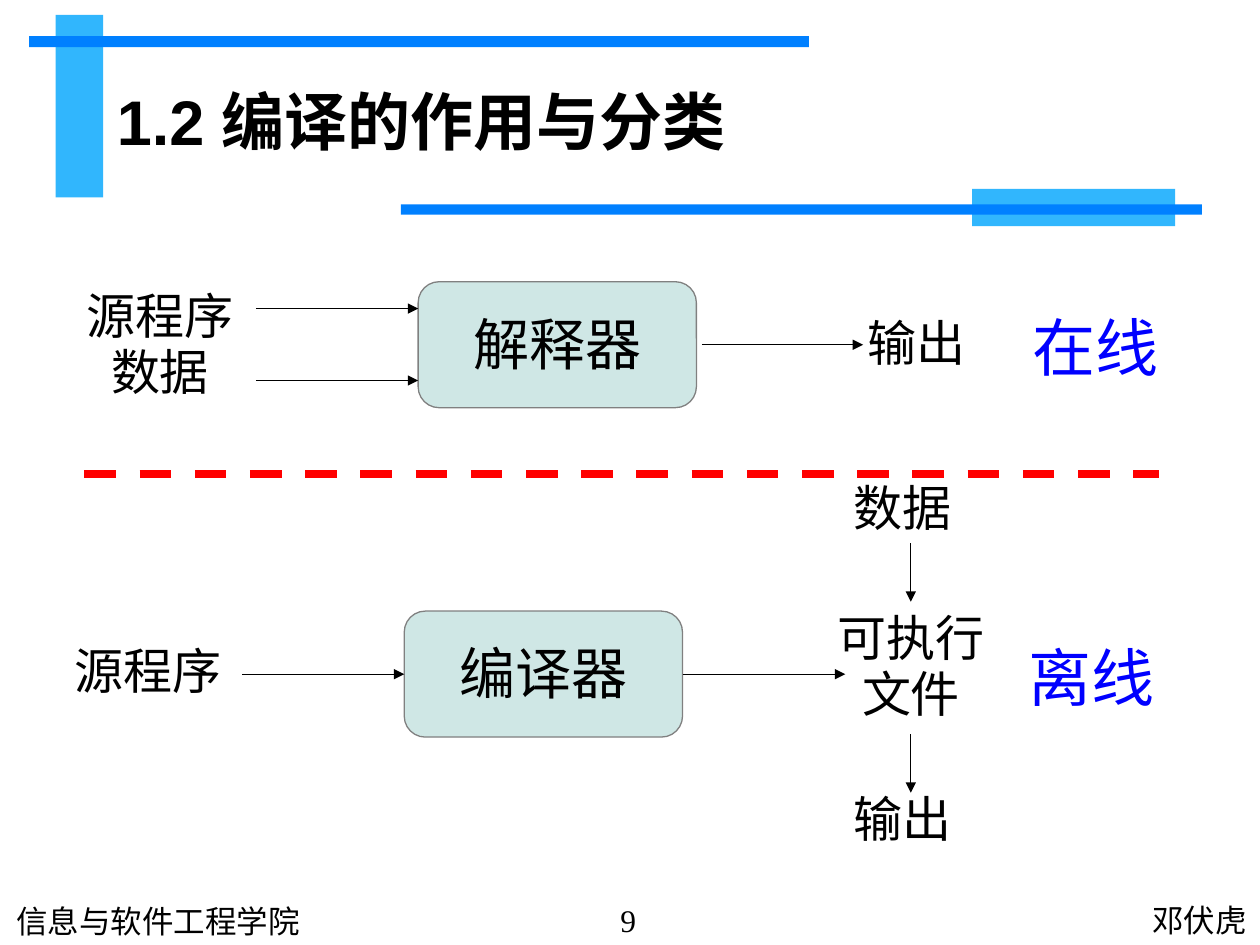
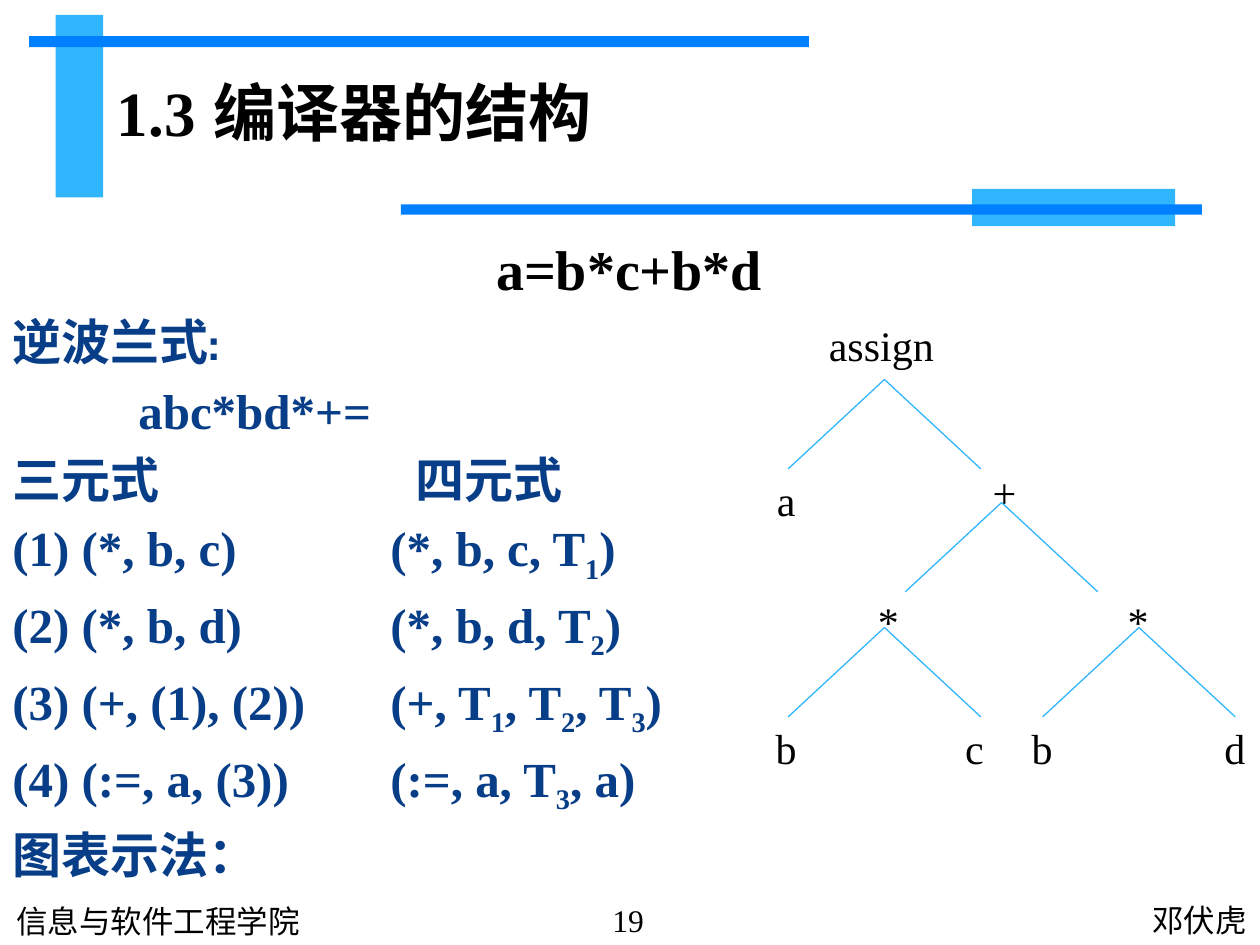
from lxml.etree import SubElement
from pptx import Presentation
from pptx.dml.color import RGBColor
from pptx.enum.dml import MSO_LINE
from pptx.enum.shapes import MSO_CONNECTOR, MSO_SHAPE
from pptx.enum.text import MSO_ANCHOR as ANCHOR, MSO_AUTO_SIZE as AUTO, PP_ALIGN as ALIGN
from pptx.oxml.ns import qn
from pptx.util import Cm, Pt

SKY, BLUE, NAVY, BLACK = "31B6FD", "0080FF", "073E87", "000000"
CHINESE, SERIF, SANS = "Noto Sans CJK SC", "Times New Roman", "Arial"
FOOTER = {"name": "Cabin", "size": Pt(18), "color": BLACK}
PAGE_NUMBER = FOOTER | {"name": SERIF}
TITLE = {"name": SANS, "size": Pt(36), "bold": True, "color": BLACK}
TITLE_NUMBER = TITLE | {"name": SERIF}
LABEL = {"name": CHINESE, "size": Pt(28), "color": BLACK}
MODE = LABEL | {"size": Pt(36), "color": "0000FF"}
STAGE = LABEL | {"size": Pt(32)}
NODE = {"name": SERIF, "size": Pt(24), "color": BLACK}
FORMULA = {"name": SERIF, "size": Pt(32), "bold": True, "color": BLACK}
CODE = {"name": SERIF, "size": Pt(28), "bold": True, "color": NAVY}
HEADING = CODE | {"name": "Cabin"}
SNUG = {"margin_left": Cm(0.23), "margin_right": Cm(0.23), "margin_top": Cm(0.16),
        "margin_bottom": Cm(0.1), "word_wrap": False}
TIGHT = {"line_spacing": 0.95}
CENTERED = {"alignment": ALIGN.CENTER}


def color(value):
    return RGBColor.from_string(value)


def set_values(target, values):
    for name, value in values.items():
        setattr(target, name, value)


def place(shape, left, top, width, height):
    set_values(shape, {"left": Cm(left), "top": Cm(top),
                       "width": Cm(width), "height": Cm(height)})


def add_span(para, text, look, baseline=None):
    span = para.add_run()
    span.text = text
    set_values(span.font, {key: value for key, value in look.items() if key != "color"})
    span.font.color.rgb = color(look["color"])
    properties = span._r.get_or_add_rPr()
    SubElement(properties, qn("a:ea"), typeface=CHINESE)
    if baseline:
        properties.set("baseline", baseline)


def write(frame, text, look, layout, frame_values):
    set_values(frame, frame_values)
    for index, line in enumerate(text.split("\n")):
        para = frame.add_paragraph() if index else frame.paragraphs[0]
        set_values(para, layout)
        add_span(para, line, look)


def add_text(page, text, area, look, layout, frame_values):
    box = page.shapes.add_textbox(*map(Cm, area))
    write(box.text_frame, text, look, layout, frame_values)


def add_label(page, text, left, top, width=3.3, height=1.55, look=LABEL,
              layout=TIGHT, anchor=ANCHOR.TOP):
    add_text(page, text, (left, top, width, height), look, layout,
             SNUG | {"vertical_anchor": anchor})


def add_block(page, kind, area, fill):
    block = page.shapes.add_shape(kind, *map(Cm, area))
    block.shadow.inherit = False
    block.fill.solid()
    block.fill.fore_color.rgb = color(fill)
    block.line.fill.background()
    return block


def add_stage(page, text, left, top):
    stage = add_block(page, MSO_SHAPE.FLOWCHART_ALTERNATE_PROCESS,
                      (left, top, 5.61, 2.54), "CFE7E5")
    stage.line.color.rgb = color("808080")
    stage.line.width = Pt(0.75)
    write(stage.text_frame, text, STAGE, TIGHT | CENTERED,
          SNUG | {"vertical_anchor": ANCHOR.MIDDLE})
    return stage


def add_line(page, start, end, stroke, width=0.75):
    line = page.shapes.add_connector(MSO_CONNECTOR.STRAIGHT, *map(Cm, start + end))
    line.line.color.rgb = color(stroke)
    line.line.width = Pt(width)
    SubElement(line.element.spPr, qn("a:effectLst"))
    return line


def add_arrow(page, start, end):
    arrow = add_line(page, start, end, BLACK)
    SubElement(arrow.line._get_or_add_ln(), qn("a:tailEnd"), type="triangle")
    return arrow


def add_master_bands(deck, page):
    for area, fill in (
        ((1.12, 0.3, 0.96, 3.68), SKY),
        ((0.59, 0.73, 15.72, 0.22), BLUE),
        ((19.6, 3.81, 4.09, 0.75), SKY),
        ((8.08, 4.12, 16.15, 0.21), BLUE),
    ):
        band = add_block(page, MSO_SHAPE.RECTANGLE, area, fill)
        deck.slide_master.shapes.element.append(band.element)


def add_footers(page, number):
    wrap = {"word_wrap": True}
    add_text(page, "邓伏虎", (14.86, 18.03, 10.52, 1.02), FOOTER,
             {"alignment": ALIGN.RIGHT}, wrap)
    add_text(page, "信息与软件工程学院", (0.08, 18.06, 10.52, 1.02), FOOTER, {}, wrap)
    add_text(page, number, (11.05, 18.03, 3.23, 1.02), PAGE_NUMBER, CENTERED, wrap)


def set_title(page, number, text, number_look, area):
    title = page.shapes.title
    place(title, *area)
    set_values(title.text_frame, {"vertical_anchor": ANCHOR.MIDDLE,
                                  "auto_size": AUTO.NONE, "word_wrap": True})
    para = title.text_frame.paragraphs[0]
    para.alignment = ALIGN.LEFT
    add_span(para, number, number_look)
    add_span(para, " " + text, TITLE)


def add_form_line(frame, index, text, look, tab=None):
    para = frame.add_paragraph() if index else frame.paragraphs[0]
    properties = para._p.get_or_add_pPr()
    if index:
        before = SubElement(properties, qn("a:spcBef"))
        SubElement(before, qn("a:spcPct"), val="20000")
    else:
        para.alignment = ALIGN.CENTER
    if tab:
        stops = SubElement(properties, qn("a:tabLst"))
        SubElement(stops, qn("a:tab"), pos=str(Cm(tab)), algn="l")
    first, *rest = text.split("_")
    add_span(para, first, look)
    for piece in rest:
        add_span(para, piece[0], look, "-25000")
        add_span(para, piece[1:], look)


def add_interpreter(page):
    add_stage(page, "解释器", 8.43, 5.68)
    for y in (6.22, 7.67):
        add_arrow(page, (5.16, y), (8.43, y))
    add_arrow(page, (14.15, 6.95), (17.4, 6.95))
    add_label(page, "源程序\n数据", 1.27, 5.53, 3.91, 2.82,
              layout=TIGHT | CENTERED, anchor=ANCHOR.MIDDLE)
    add_label(page, "输出", 17.26, 6.22)
    add_label(page, "在线", 20.58, 6.17, look=MODE)


def add_compiler(page):
    middle, file_x = 13.59, 18.36
    compiler = add_stage(page, "编译器", 8.15, 12.32)
    add_arrow(page, (4.88, middle), (8.15, middle)).end_connect(compiler, 1)
    add_arrow(page, (13.76, middle), (17.04, middle)).begin_connect(compiler, 3)
    for top in (10.95, 14.8):
        add_arrow(page, (file_x, top), (file_x, top + 1.18))
    add_label(page, "源程序", 1.27, 12.83, 3.7)
    add_label(page, "数据", 16.97, 9.55)
    add_label(page, "可执行\n文件", 16.41, 12.17, 3.91, 2.84, layout=TIGHT | CENTERED)
    add_label(page, "输出", 16.97, 15.82)
    add_label(page, "离线", 20.51, 12.83, look=MODE)


def add_intermediate_forms(page):
    box = page.shapes.add_textbox(*map(Cm, (0, 4.61, 25.37, 12.73)))
    box.text_frame.word_wrap = True
    quad = 7.62
    for index, (text, look, tab) in enumerate((
        ("a=b*c+b*d", FORMULA, None),
        ("逆波兰式:", HEADING, None),
        ("\tabc*bd*+=", CODE, 2.54),
        ("三元式\t四元式", HEADING, 8.13),
        ("(1) (*, b, c)\t(*, b, c, T_1)", CODE, quad),
        ("(2) (*, b, d)\t(*, b, d, T_2)", CODE, quad),
        ("(3) (+, (1), (2))\t(+, T_1, T_2, T_3)", CODE, quad),
        ("(4) (:=, a, (3))\t(:=, a, T_3, a)", CODE, quad),
        ("图表示法：", HEADING, None),
    )):
        add_form_line(box.text_frame, index, text, look, tab)


def add_syntax_tree(page):
    for x, y in ((17.83, 7.65), (20.19, 10.13), (22.96, 12.65), (17.83, 12.65)):
        for side in (-1.94, 1.94):
            add_line(page, (x, y), (x + side, y + 1.8), SKY)
    for text, center, top, width in (
        ("assign", 17.77, 6.32, 2.62),
        ("a", 15.88, 9.45, 0.94),
        ("+", 20.23, 9.27, 0.94),
        ("*", 17.92, 11.89, 0.94),
        ("*", 22.95, 11.89, 0.94),
        ("b", 15.88, 14.45, 0.99),
        ("c", 19.65, 14.45, 0.89),
        ("b", 21.04, 14.45, 0.99),
        ("d", 24.93, 14.45, 0.99),
    ):
        add_text(page, text, (center - width / 2, top, width, 1.27), NODE, {},
                 {"word_wrap": False, "auto_size": AUTO.SHAPE_TO_FIT_TEXT})


def fill_classification(page):
    set_title(page, "1.2", "编译的作用与分类", TITLE, (2.1, 1.14, 19.61, 2.59))
    add_compiler(page)
    add_interpreter(page)
    divider = add_line(page, (1.7, 9.55), (23.37, 9.55), "FF0000", 4.5)
    divider.line.dash_style = MSO_LINE.DASH
    add_footers(page, "9")


def fill_structure(page):
    set_title(page, "1.3", "编译器的结构", TITLE_NUMBER, (2.1, 0.76, 18.95, 2.97))
    add_intermediate_forms(page)
    add_syntax_tree(page)
    add_footers(page, "19")


def main():
    deck = Presentation()
    set_values(deck, {"slide_width": Cm(25.4), "slide_height": Cm(19.05)})
    title_only = deck.slide_layouts[5]
    classification = deck.slides.add_slide(title_only)
    structure = deck.slides.add_slide(title_only)
    add_master_bands(deck, classification)
    fill_classification(classification)
    fill_structure(structure)
    deck.save("out.pptx")


if __name__ == "__main__":
    main()
